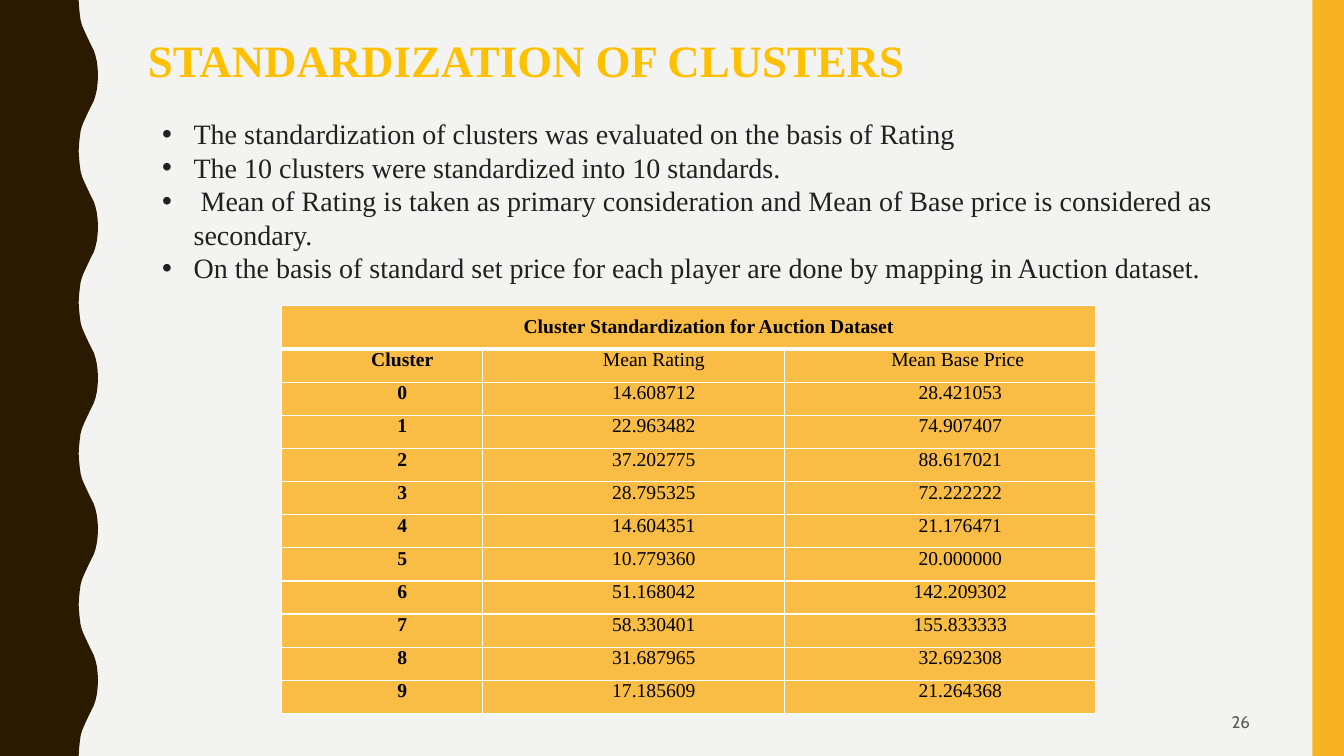
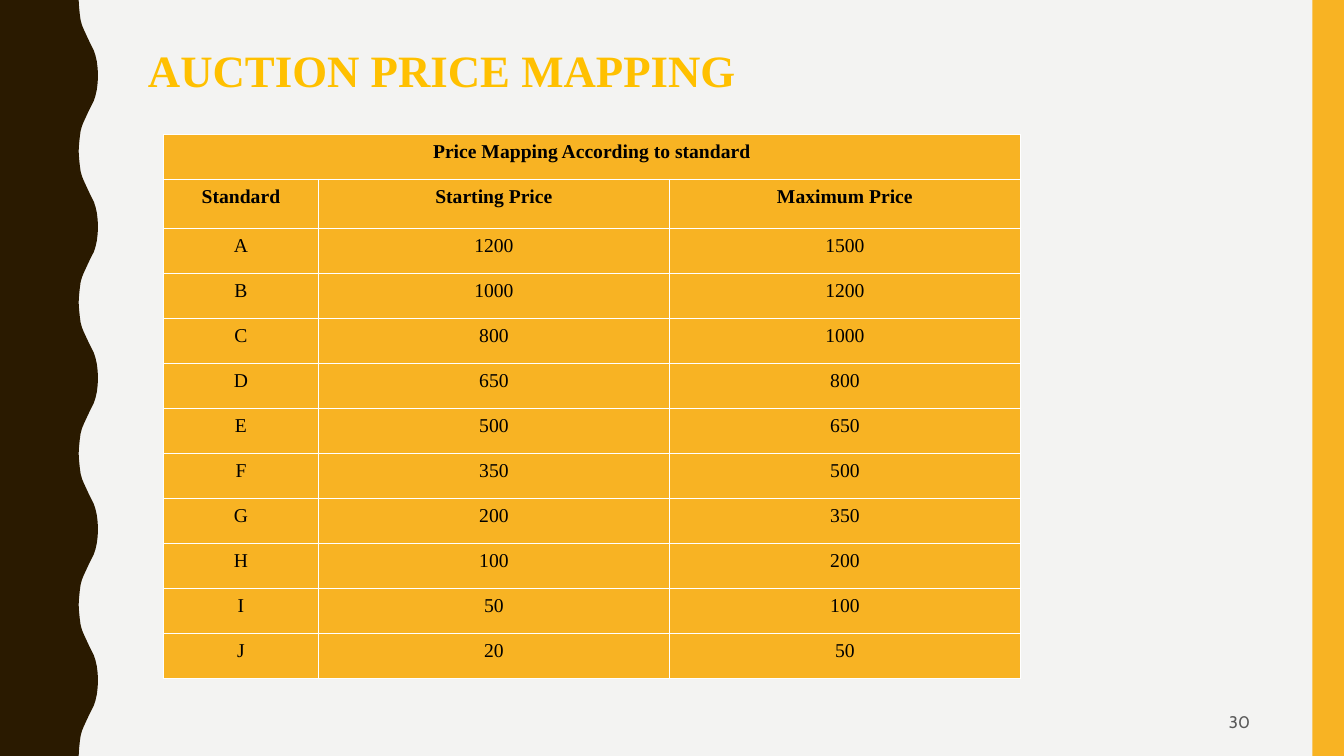
"""Builds two slides on cluster standardization and auction price mapping."""
from dataclasses import dataclass

from pptx import Presentation
from pptx.dml.color import RGBColor
from pptx.enum.shapes import MSO_SHAPE
from pptx.enum.text import MSO_ANCHOR, PP_ALIGN
from pptx.oxml import parse_xml
from pptx.oxml.ns import nsdecls
from pptx.util import Pt


@dataclass(frozen=True)
class Theme:
    paper: str = "F3F3F2"
    wave: str = "2A1A00"
    band: str = "F8B323"
    pale_band: str = "F9BD45"
    title: str = "FFC000"
    body: str = "212121"
    cell: str = "000000"
    rule: str = "FFFFFF"
    number: str = "595959"
    serif: str = "Times New Roman"
    sans: str = "Cabin"
    title_size: float = 32
    body_size: float = 20
    cell_size: float = 14
    number_size: float = 12


THEME = Theme()
WIDTH, HEIGHT = 960, 540
BAND_LEFT = 937.5
WAVE_PERIOD = 108
WAVE_RISE = [
    (56.2, 0), (56.5, 5), (57, 10), (57.6, 14.4), (58.6, 18), (59.8, 21),
    (61.2, 24), (62.6, 27), (64, 30), (65.5, 33), (67, 36), (68.2, 39.6),
    (69.2, 44), (69.8, 49), (70, 54),
]

CLUSTER_POINTS = [
    "The standardization of clusters was evaluated on the basis of Rating",
    "The 10 clusters were standardized into 10 standards.",
    " Mean of Rating is taken as primary consideration and Mean of Base price is considered as secondary.",
    "On the basis of standard set price for each player are done by mapping in Auction dataset.",
]
CLUSTER_TABLE = {
    "heading": "Cluster Standardization for Auction Dataset",
    "rows": [
        ("Cluster", "Mean Rating", "Mean Base Price "),
        ("0", "14.608712", "28.421053"),
        ("1", "22.963482", "74.907407"),
        ("2", "37.202775", "88.617021"),
        ("3", "28.795325", "72.222222"),
        ("4", "14.604351", "21.176471"),
        ("5", "10.779360", "20.000000"),
        ("6", "51.168042", "142.209302"),
        ("7", "58.330401", "155.833333"),
        ("8", "31.687965", "32.692308"),
        ("9", "17.185609", "21.264368"),
    ],
    "origin": (201.2, 218.3),
    "widths": (143.6, 215.8, 222),
    "heights": [31.2] + [23.65] * 11,
    "fill": THEME.pale_band,
    "margins": (5, 0),
    "anchor": MSO_ANCHOR.MIDDLE,
    "indent": (46.8, -18),
    "heading_spacing": 1.5,
    "heading_rule": 3,
    "bold": lambda row, column: row == 0 or column == 0,
}
PRICE_TABLE = {
    "heading": "Price Mapping According to standard",
    "rows": [
        ("Standard", "Starting Price", "Maximum Price"),
        ("A", "1200", "1500"),
        ("B", "1000", "1200"),
        ("C", "800", "1000"),
        ("D", "650", "800"),
        ("E", "500", "650"),
        ("F", "350", "500"),
        ("G", "200", "350"),
        ("H", "100", "200"),
        ("I", "50", "100"),
        ("J", "20", "50"),
    ],
    "origin": (116.8, 96),
    "widths": (110.7, 250.7, 250.7),
    "heights": [32.15, 35] + [32.15] * 10,
    "fill": THEME.band,
    "margins": (4.5, 4.5),
    "anchor": MSO_ANCHOR.TOP,
    "indent": (0, 0),
    "heading_spacing": 1,
    "heading_rule": 1,
    "bold": lambda row, column: row < 2,
}
SLIDES = [
    {"title": "STANDARDIZATION OF CLUSTERS", "title_top": 24.5,
     "points": CLUSTER_POINTS, "table": CLUSTER_TABLE, "number": "26"},
    {"title": "AUCTION PRICE MAPPING", "title_top": 31.5,
     "points": [], "table": PRICE_TABLE, "number": "30"},
]


def rgb(code):
    return RGBColor.from_string(code)


def write(frame, lines, size, color, font=THEME.serif, bold=False, align=PP_ALIGN.LEFT,
          anchor=MSO_ANCHOR.TOP, spacing=1, indent=(0, 0), bullet=None):
    frame.word_wrap = True
    frame.vertical_anchor = anchor
    for index, line in enumerate(lines):
        paragraph = frame.add_paragraph() if index else frame.paragraphs[0]
        paragraph.alignment = align
        paragraph.line_spacing = spacing
        properties = paragraph._p.get_or_add_pPr()
        properties.set("marL", str(Pt(indent[0])))
        properties.set("indent", str(Pt(indent[1])))
        if bullet:
            properties.append(parse_xml(f'<a:buFont {nsdecls("a")} typeface="Arial"/>'))
            properties.append(parse_xml(f'<a:buChar {nsdecls("a")} char="{bullet}"/>'))
        run = paragraph.add_run()
        run.text = line
        run.font.size = Pt(size)
        run.font.name = font
        run.font.bold = bold
        run.font.color.rgb = rgb(color)


def add_text(slide, box, lines, **style):
    frame = slide.shapes.add_textbox(*map(Pt, box)).text_frame
    write(frame, lines, **style)


def paint(shape, color):
    shape.shadow.inherit = False
    shape.fill.solid()
    shape.fill.fore_color.rgb = rgb(color)
    shape.line.fill.background()


def add_frame(slide):
    fall = [(x, WAVE_PERIOD - y) for x, y in reversed(WAVE_RISE[1:-1])]
    edge = [(x, y + start) for start in range(0, HEIGHT, WAVE_PERIOD)
            for x, y in WAVE_RISE + fall]
    outline = edge + [(WAVE_RISE[0][0], HEIGHT), (0, HEIGHT)]
    builder = slide.shapes.build_freeform(0, 0)
    builder.add_line_segments([(Pt(x), Pt(y)) for x, y in outline], close=True)
    paint(builder.convert_to_shape(), THEME.wave)
    band = slide.shapes.add_shape(MSO_SHAPE.RECTANGLE, Pt(BAND_LEFT), 0,
                                  Pt(WIDTH - BAND_LEFT), Pt(HEIGHT))
    paint(band, THEME.band)


def add_borders(cell, top, bottom):
    properties = cell._tc.get_or_add_tcPr()
    for side, width in (("L", 1), ("R", 1), ("T", top), ("B", bottom)):
        properties.append(parse_xml(
            f'<a:ln{side} {nsdecls("a")} w="{Pt(width)}"><a:solidFill>'
            f'<a:srgbClr val="{THEME.rule}"/></a:solidFill></a:ln{side}>'))


def add_grid(slide, content):
    widths, heights = content["widths"], content["heights"]
    rows = [(content["heading"], "", "")] + content["rows"]
    left, top = content["origin"]
    grid = slide.shapes.add_table(len(rows), len(widths), Pt(left), Pt(top),
                                  Pt(sum(widths)), Pt(sum(heights))).table
    grid.first_row = grid.horz_banding = False
    for column, width in zip(grid.columns, widths):
        column.width = Pt(width)
    for row, height in zip(grid.rows, heights):
        row.height = Pt(height)
    grid.cell(0, 0).merge(grid.cell(0, len(widths) - 1))
    side, edge = content["margins"]
    for r, values in enumerate(rows):
        for c, value in enumerate(values):
            cell = grid.cell(r, c)
            add_borders(cell, content["heading_rule"] if r == 1 else 1,
                        content["heading_rule"] if r == 0 else 1)
            cell.fill.solid()
            cell.fill.fore_color.rgb = rgb(content["fill"])
            cell.margin_left = cell.margin_right = Pt(side)
            cell.margin_top = cell.margin_bottom = Pt(edge)
            if value:
                write(cell.text_frame, [value], size=THEME.cell_size, color=THEME.cell,
                      bold=content["bold"](r, c), align=PP_ALIGN.CENTER,
                      anchor=content["anchor"] if r else MSO_ANCHOR.TOP,
                      spacing=1 if r else content["heading_spacing"],
                      indent=content["indent"])


def add_content(slide, content):
    add_frame(slide)
    add_text(slide, (98.6, content["title_top"], 801.4, 48), [content["title"]],
             size=THEME.title_size, color=THEME.title, bold=True, spacing=0.9)
    if content["points"]:
        add_text(slide, (108.7, 80, 776.2, 128), content["points"],
                 size=THEME.body_size, color=THEME.body, spacing=Pt(23.9),
                 indent=(22.5, -22.5), bullet="•")
    add_grid(slide, content["table"])
    add_text(slide, (678, 502, 222, 27.4), [content["number"]],
             size=THEME.number_size, color=THEME.number, font=THEME.sans,
             align=PP_ALIGN.RIGHT, anchor=MSO_ANCHOR.MIDDLE)


def main():
    deck = Presentation()
    deck.slide_width, deck.slide_height = Pt(WIDTH), Pt(HEIGHT)
    paper = deck.slide_master.background.fill
    paper.solid()
    paper.fore_color.rgb = rgb(THEME.paper)
    for content in SLIDES:
        add_content(deck.slides.add_slide(deck.slide_layouts[6]), content)
    deck.save("out.pptx")


if __name__ == "__main__":
    main()
